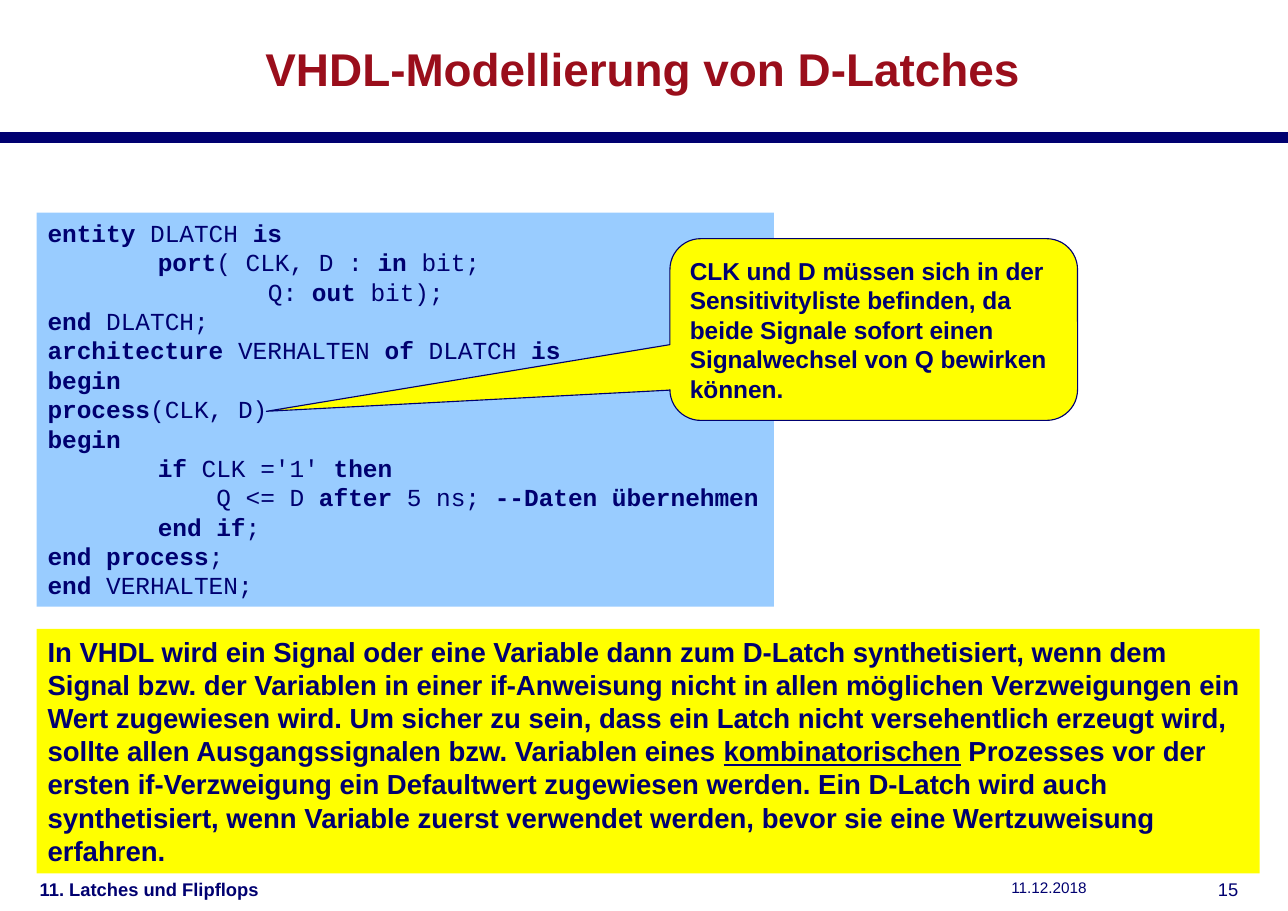
import pptx
import pptx.dml.color
import pptx.enum.shapes
import pptx.enum.text
import pptx.oxml.ns
import pptx.util
import lxml.etree

Pt = pptx.util.Pt
ALIGN = pptx.enum.text.PP_ALIGN
ANCHOR = pptx.enum.text.MSO_ANCHOR
SHAPE = pptx.enum.shapes.MSO_SHAPE

COLOURS = {"navy": "000070", "red": "9A0E1B", "sky": "99CCFF", "yellow": "FFFF00"}
WIDTH, HEIGHT = 841.68, 595.44
TAB_WIDTH = 72

CODE = [
    "*entity* DLATCH *is*",
    "\t*port*( CLK, D : *in* bit;",
    "\t\tQ: *out* bit);",
    "*end* DLATCH;",
    "*architecture* VERHALTEN *of* DLATCH *is*",
    "*begin*",
    "*process*(CLK, D)",
    "*begin*",
    "\t*if* CLK ='1' *then*",
    "\t    Q <= D *after* 5 ns; *--Daten übernehmen*",
    "\t*end if*;",
    "*end process*;",
    "*end* VERHALTEN;",
]
CALLOUT = (
    "CLK und D müssen sich in der Sensitivityliste befinden, da beide Signale "
    "sofort einen Signalwechsel von Q bewirken können."
)
NOTE = (
    "In VHDL wird ein Signal oder eine Variable dann zum D-Latch synthetisiert, "
    "wenn dem Signal bzw. der Variablen in einer if-Anweisung nicht in allen möglichen "
    "Verzweigungen ein Wert zugewiesen wird. Um sicher zu sein, dass ein Latch nicht "
    "versehentlich erzeugt wird, sollte allen Ausgangssignalen bzw. Variablen eines "
    "*kombinatorischen* Prozesses vor der ersten if-Verzweigung ein Defaultwert "
    "zugewiesen werden. Ein D-Latch wird auch synthetisiert, wenn Variable zuerst "
    "verwendet werden, bevor sie eine Wertzuweisung erfahren."
)


def rgb(name):
    return pptx.dml.color.RGBColor.from_string(COLOURS[name])


def write_paragraph(paragraph, text, size, font="Arial", colour="navy", bold=True,
                    mark=None, align=ALIGN.LEFT, line=None):
    paragraph.alignment = align
    if line:
        paragraph.line_spacing = Pt(line)
    for index, part in enumerate(text.split("*")):
        if part:
            run = paragraph.add_run()
            run.text = part
            run.font.name = font
            run.font.size = Pt(size)
            run.font.bold = bold
            run.font.color.rgb = rgb(colour)
            if index % 2:
                setattr(run.font, mark, True)


def add_tab_stops(paragraph, count):
    properties = paragraph._p.get_or_add_pPr()
    tabs = lxml.etree.SubElement(properties, pptx.oxml.ns.qn("a:tabLst"))
    for number in range(1, count + 1):
        stop = lxml.etree.SubElement(tabs, pptx.oxml.ns.qn("a:tab"))
        stop.set("pos", str(Pt(TAB_WIDTH * number)))
        stop.set("algn", "l")


def add_label(slide, box, text, size, anchor=ANCHOR.TOP, **style):
    shape = slide.shapes.add_textbox(*map(Pt, box))
    frame = shape.text_frame
    frame.word_wrap = True
    frame.vertical_anchor = anchor
    frame.margin_left = frame.margin_right = Pt(7.9)
    write_paragraph(frame.paragraphs[0], text, size, **style)


def add_panel(slide, kind, box, fill, anchor=ANCHOR.TOP):
    shape = slide.shapes.add_shape(kind, *map(Pt, box))
    shape.shadow.inherit = False
    shape.fill.solid()
    shape.fill.fore_color.rgb = rgb(fill)
    shape.line.fill.background()
    shape.text_frame.word_wrap = True
    shape.text_frame.vertical_anchor = anchor
    return shape


def add_header(slide, left, top, width, height):
    add_label(slide, (left + 18, top + 20.2, width - 37.4, 49), "VHDL-Modellierung von D-Latches",
              30, ANCHOR.MIDDLE, colour="red", align=ALIGN.CENTER)
    rule = slide.shapes.add_connector(pptx.enum.shapes.MSO_CONNECTOR.STRAIGHT, Pt(left),
                                      Pt(top + height), Pt(left + width), Pt(top + height))
    rule.line.color.rgb = rgb("navy")
    rule.line.width = Pt(7.09)
    lxml.etree.SubElement(rule._element.spPr, pptx.oxml.ns.qn("a:effectLst"))


def add_code(slide, left, top, width, height):
    panel = add_panel(slide, SHAPE.RECTANGLE, (left, top, width, height), "sky")
    frame = panel.text_frame
    for index, text in enumerate(CODE):
        paragraph = frame.add_paragraph() if index else frame.paragraphs[0]
        write_paragraph(paragraph, text, 16, font="Courier New", bold=False, mark="bold", line=19.2)
        add_tab_stops(paragraph, 2)


def add_note(slide, left, top, width, height):
    panel = add_panel(slide, SHAPE.RECTANGLE, (left, top, width, height), "yellow")
    write_paragraph(panel.text_frame.paragraphs[0], NOTE, 18, mark="underline", line=21.7)


def add_callout(slide, left, top, width, height):
    callout = add_panel(slide, SHAPE.ROUNDED_RECTANGULAR_CALLOUT, (left, top, width, height),
                        "yellow", ANCHOR.MIDDLE)
    callout.line.color.rgb = rgb("navy")
    callout.line.width = Pt(0.75)
    for index, value in enumerate((-1.49, 0.45, 0.17)):
        callout.adjustments[index] = value
    write_paragraph(callout.text_frame.paragraphs[0], CALLOUT, 16, line=19.2)


def add_footer(slide, left, top, width, height):
    add_label(slide, (left, top, 238.3, height), "11. Latches und Flipflops", 12)
    add_label(slide, (left + 635, top, 118.8, height), "11.12.2018", 10, bold=False)
    add_label(slide, (left + width - 33.8, top, 33.8, height), "15", 12,
              bold=False, align=ALIGN.RIGHT)


def main():
    presentation = pptx.Presentation()
    presentation.slide_width = Pt(WIDTH)
    presentation.slide_height = Pt(HEIGHT)
    slide = presentation.slides.add_slide(presentation.slide_layouts[6])
    add_header(slide, 0, 0, WIDTH, 90)
    add_footer(slide, 18, 570.2, 799.2, 25.2)
    add_code(slide, 24, 139, 481.7, 257.6)
    add_note(slide, 24, 411.1, 799.2, 159.8)
    add_callout(slide, 437.8, 156, 266.4, 118.8)
    presentation.save("out.pptx")


if __name__ == "__main__":
    main()
